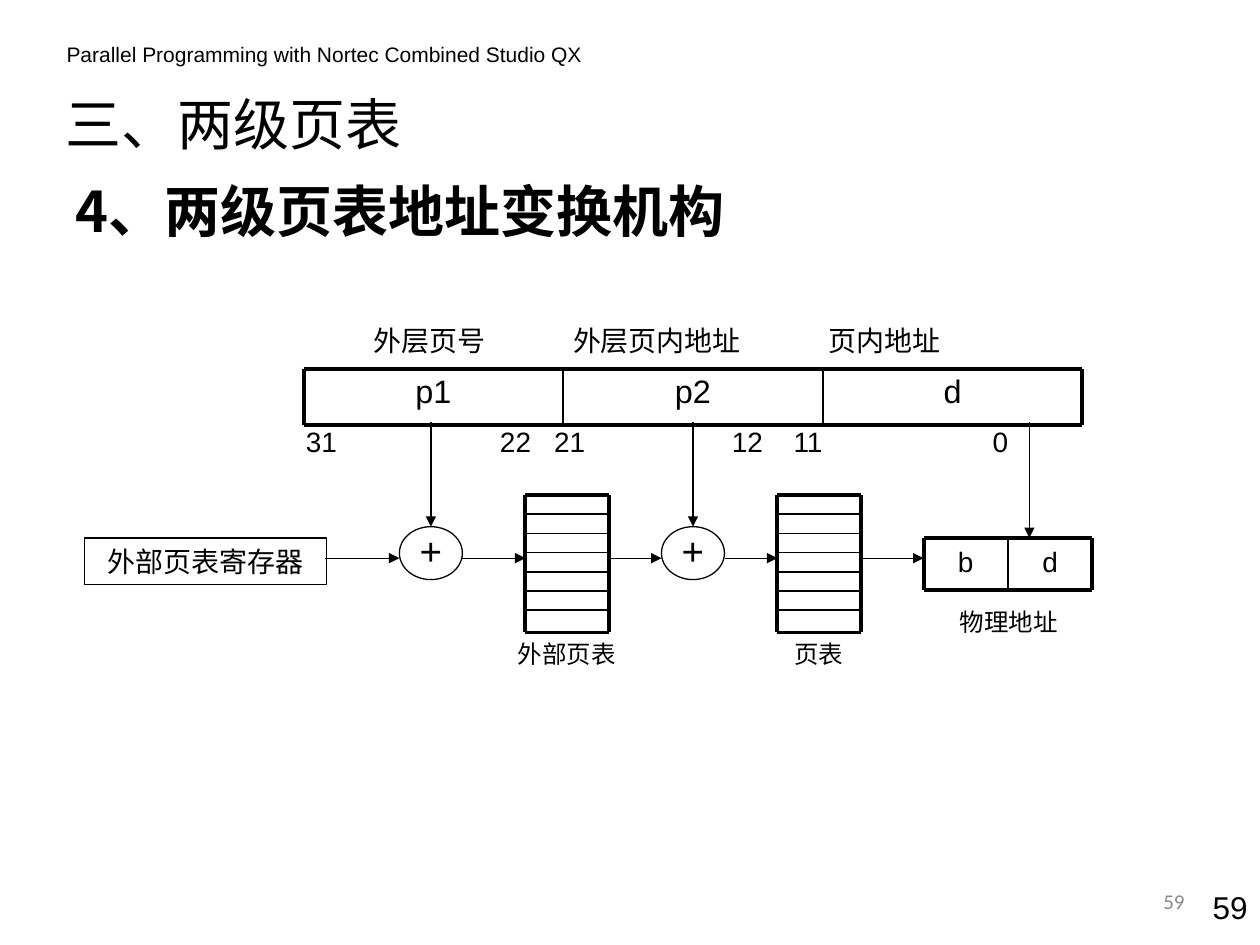
from lxml import etree
from pptx import Presentation
from pptx.dml.color import RGBColor
from pptx.enum.shapes import MSO_CONNECTOR, MSO_SHAPE
from pptx.enum.text import MSO_ANCHOR, PP_ALIGN
from pptx.oxml.ns import qn
from pptx.util import Inches, Pt

LEFT, CENTER, RIGHT = PP_ALIGN.LEFT, PP_ALIGN.CENTER, PP_ALIGN.RIGHT
TOP, MIDDLE = MSO_ANCHOR.TOP, MSO_ANCHOR.MIDDLE
STRAIGHT = MSO_CONNECTOR.STRAIGHT
RECTANGLE, OVAL = MSO_SHAPE.RECTANGLE, MSO_SHAPE.OVAL

COLORS = {"ink": "000000", "muted": "898989"}
CJK_FONT = "Noto Sans CJK SC"
THIN, INNER, OUTER = 0.75, 1, 2.25

FIELD_EDGES = [2.41, 4.47, 6.53, 8.59]
FIELD_TOP, FIELD_BOTTOM = 2.93, 3.37
PHYSICAL_EDGES = [7.33, 8, 8.67]
PHYSICAL_TOP, PHYSICAL_BOTTOM = 4.27, 4.68
TABLE_TOP, TABLE_BOTTOM, ROW_STEP = 3.93, 5.02, 0.152
FLOW_Y = 4.43


def color(name):
    return RGBColor.from_string(COLORS[name])


def write(shape, text, size, font="Arial", align=LEFT, anchor=TOP,
          bold=False, ink="ink", spacing=None, inset=0.05):
    frame = shape.text_frame
    frame.word_wrap = True
    frame.vertical_anchor = anchor
    frame.margin_left = frame.margin_right = Inches(0.1)
    frame.margin_top = frame.margin_bottom = Inches(inset)
    para = frame.paragraphs[0]
    para.alignment = align
    if spacing:
        para.line_spacing = spacing
    span = para.add_run()
    span.text = text
    span.font.size = Pt(size)
    span.font.bold = bold
    span.font.color.rgb = color(ink)
    span.font.name = font
    etree.SubElement(span.font._element, qn("a:ea"), typeface=CJK_FONT)


def add_text(page, left, top, width, height, text, size, **style):
    box = page.shapes.add_textbox(
        Inches(left), Inches(top), Inches(width), Inches(height))
    write(box, text, size, **style)


def add_outline(page, kind, left, top, width, height):
    shape = page.shapes.add_shape(
        kind, Inches(left), Inches(top), Inches(width), Inches(height))
    shape.shadow.inherit = False
    shape.fill.background()
    shape.line.color.rgb = color("ink")
    shape.line.width = Pt(THIN)
    return shape


def add_line(page, x1, y1, x2, y2, weight=THIN, arrow=False):
    line = page.shapes.add_connector(
        STRAIGHT, Inches(x1), Inches(y1), Inches(x2), Inches(y2))
    line.line.color.rgb = color("ink")
    line.line.width = Pt(weight)
    properties = line._element.spPr
    if arrow:
        etree.SubElement(properties.find(qn("a:ln")), qn("a:tailEnd"), type="triangle")
    etree.SubElement(properties, qn("a:effectLst"))


def add_grid(page, columns, rows):
    for y in rows:
        weight = OUTER if y in (rows[0], rows[-1]) else INNER
        add_line(page, columns[0], y, columns[-1], y, weight)
    for x in columns:
        weight = OUTER if x in (columns[0], columns[-1]) else INNER
        add_line(page, x, rows[0], x, rows[-1], weight)


def add_fields(page, edges, top, bottom, names, size, spacing=None):
    for left, right, name in zip(edges, edges[1:], names):
        add_text(page, left, top, right - left, bottom - top, name, size,
                 align=CENTER, spacing=spacing)
    add_grid(page, edges, [top, bottom])


def add_adder(page, left):
    add_outline(page, OVAL, left, 4.18, 0.5, 0.42)
    add_text(page, left, 4.18, 0.5, 0.37, "+", 22, align=CENTER, inset=0)
    add_line(page, left + 0.25, 3.35, left + 0.25, 4.18, arrow=True)


def add_page_table(page, left, label, label_width):
    right = left + 0.66
    rows = [TABLE_TOP + ROW_STEP * row for row in range(7)] + [TABLE_BOTTOM]
    add_grid(page, [left, right], rows)
    add_text(page, (left + right - label_width) / 2, TABLE_BOTTOM,
             label_width, 0.34, label, 14, align=CENTER)


def add_headings(page):
    add_text(page, 0.43, 0.28, 4.6, 0.3,
             "Parallel Programming with Nortec Combined Studio QX", 12)
    add_text(page, 0.42, 0.6, 5.67, 0.75, "三、两级页表", 32,
             font=CJK_FONT, anchor=MIDDLE)
    add_text(page, 0.5, 1.35, 7.75, 1.17, "4、两级页表地址变换机构", 32,
             font=CJK_FONT, bold=True)


def add_logical_address(page):
    add_fields(page, FIELD_EDGES, FIELD_TOP, FIELD_BOTTOM,
               ["p1", "p2", "d"], 18.5, spacing=0.9)
    for left, label in [(2.87, "外层页号"), (4.45, "外层页内地址"), (6.48, "页内地址")]:
        add_text(page, left, 2.52, 1.7, 0.37, label, 16)
    bits = [(2.33, "31"), (3.87, "22"), (4.3, "21"),
            (5.71, "12"), (6.2, "11"), (7.78, "0")]
    for left, bit in bits:
        add_text(page, left, 3.32, 0.5, 0.37, bit, 16)


def add_translation(page):
    register = add_outline(page, RECTANGLE, 0.67, 4.27, 1.92, 0.37)
    write(register, "外部页表寄存器", 16, align=CENTER)
    for left in (3.17, 5.25):
        add_adder(page, left)
    add_page_table(page, 4.17, "外部页表", 1)
    add_page_table(page, 6.17, "页表", 0.67)
    add_fields(page, PHYSICAL_EDGES, PHYSICAL_TOP, PHYSICAL_BOTTOM, ["b", "d"], 16)
    add_text(page, 7.42, 4.77, 1.17, 0.34, "物理地址", 14, align=CENTER)
    add_line(page, 8.17, 3.35, 8.17, PHYSICAL_TOP, arrow=True)
    flows = [(2.58, 3.17), (3.67, 4.17), (4.83, 5.25), (5.75, 6.17), (6.83, 7.33)]
    for start, end in flows:
        add_line(page, start, FLOW_Y, end, FLOW_Y, arrow=True)


def add_page_numbers(page):
    add_text(page, 9.33, 7, 0.67, 0.4, "59", 18, align=RIGHT)
    add_text(page, 7.17, 6.95, 2.33, 0.4, "59", 12, font="Calibri",
             align=RIGHT, anchor=MIDDLE, ink="muted")


def main():
    deck = Presentation()
    deck.slide_width, deck.slide_height = Inches(10), Inches(7.5)
    page = deck.slides.add_slide(deck.slide_layouts[6])
    add_headings(page)
    add_logical_address(page)
    add_translation(page)
    add_page_numbers(page)
    deck.save("out.pptx")


if __name__ == "__main__":
    main()
